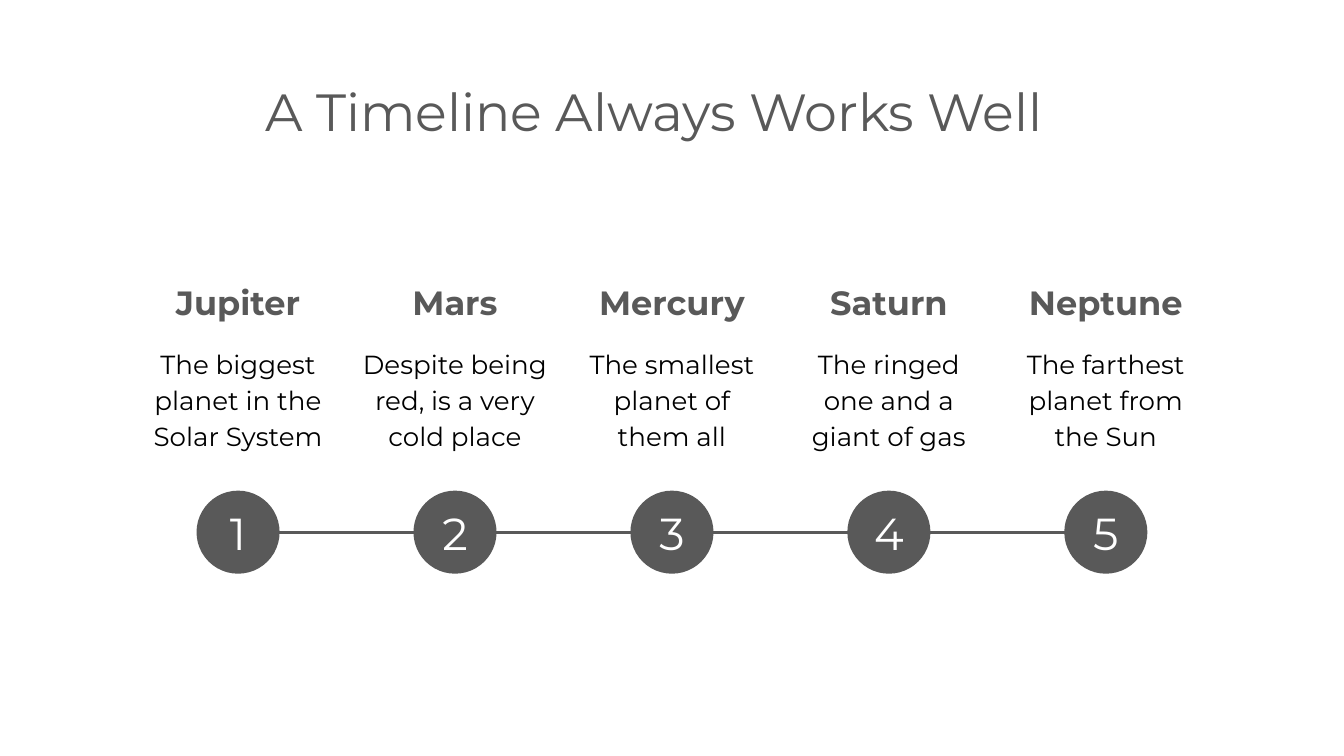
from typing import NamedTuple

from lxml.etree import SubElement
from pptx import Presentation
from pptx.dml.color import RGBColor
from pptx.enum.shapes import MSO_CONNECTOR, MSO_SHAPE
from pptx.enum.text import MSO_ANCHOR, PP_ALIGN
from pptx.oxml.ns import qn
from pptx.shapes.autoshape import Shape
from pptx.shapes.shapetree import SlideShapes
from pptx.util import Cm, Pt

GRAY = RGBColor(0x59, 0x59, 0x59)
BLACK = RGBColor(0, 0, 0)
WHITE = RGBColor(255, 255, 255)

FIRST, PITCH = 4.5, 4.1  # centre of the first step, gap between centres
AXIS = 10.06
DOT = 1.57
WIDE = 4.0


class Style(NamedTuple):
    size: int
    color: RGBColor
    bold: bool = False
    anchor: MSO_ANCHOR = MSO_ANCHOR.MIDDLE
    inset: float = 0.25
    lines: float = 1.0


class Step(NamedTuple):
    name: str
    fact: str


TITLE = Style(28, GRAY)
NAME = Style(18, GRAY, bold=True)
FACT = Style(14, BLACK, anchor=MSO_ANCHOR.TOP, lines=1.15)
DIGIT = Style(24, WHITE, inset=0)

STEPS = [
    Step("Jupiter", "The biggest planet in the Solar System"),
    Step("Mars", "Despite being red, is a very cold place"),
    Step("Mercury", "The smallest planet of them all"),
    Step("Saturn", "The ringed one and a giant of gas"),
    Step("Neptune", "The farthest planet from the Sun"),
]


def write(shape: Shape, text: str, style: Style) -> None:
    frame = shape.text_frame
    frame.word_wrap = True
    frame.vertical_anchor = style.anchor
    frame.margin_left = frame.margin_right = Cm(style.inset)
    frame.margin_top = frame.margin_bottom = Cm(style.inset)
    para = frame.paragraphs[0]
    para.alignment = PP_ALIGN.CENTER
    para.line_spacing = style.lines
    run = para.add_run()
    run.text = text
    run.font.name = "Montserrat"
    run.font.size = Pt(style.size)
    run.font.bold = style.bold
    run.font.color.rgb = style.color


def add_text(shapes: SlideShapes, left: float, top: float, width: float,
             height: float, text: str, style: Style) -> None:
    box = shapes.add_textbox(Cm(left), Cm(top), Cm(width), Cm(height))
    write(box, text, style)


def add_axis(shapes: SlideShapes, start: float, end: float) -> None:
    line = shapes.add_connector(
        MSO_CONNECTOR.STRAIGHT, Cm(start), Cm(AXIS), Cm(end), Cm(AXIS))
    line.line.color.rgb = GRAY
    line.line.width = Pt(1.5)
    SubElement(line._element.spPr, qn("a:effectLst"))


def add_step(shapes: SlideShapes, mid: float, number: int, step: Step) -> None:
    """Draw one planet's name, fact and numbered dot, centred on mid."""
    left = mid - WIDE / 2
    add_text(shapes, left, 5.28, WIDE, 0.86, step.name, NAME)
    add_text(shapes, left, 6.25, WIDE, 2.34, step.fact, FACT)
    dot = shapes.add_shape(
        MSO_SHAPE.OVAL, Cm(mid - DOT / 2), Cm(AXIS - DOT / 2), Cm(DOT), Cm(DOT))
    dot.shadow.inherit = False
    dot.fill.solid()
    dot.fill.fore_color.rgb = GRAY
    dot.line.fill.background()
    write(dot, str(number), DIGIT)


def main() -> None:
    deck = Presentation()
    deck.slide_width, deck.slide_height = Cm(25.4), Cm(14.29)
    shapes = deck.slides.add_slide(deck.slide_layouts[6]).shapes

    add_text(shapes, 1.98, 1.5, 20.75, 1.19,
             "A Timeline Always Works Well", TITLE)
    mids = [FIRST + PITCH * i for i in range(len(STEPS))]
    add_axis(shapes, mids[0], mids[-1])
    for number, (mid, step) in enumerate(zip(mids, STEPS), 1):
        add_step(shapes, mid, number, step)
    deck.save("out.pptx")


if __name__ == "__main__":
    main()
